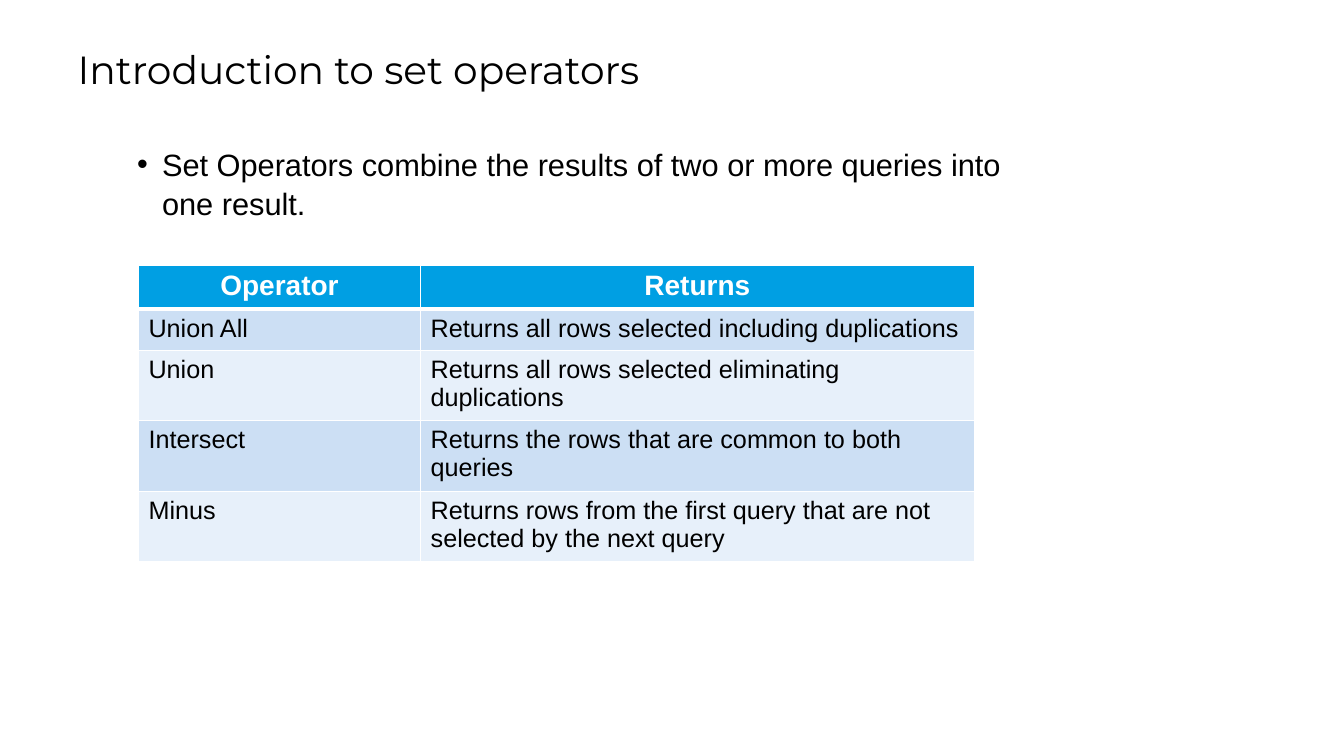
from pptx import Presentation
from pptx.dml.color import RGBColor
from pptx.enum.text import MSO_ANCHOR as Anchor, MSO_AUTO_SIZE as Auto, PP_ALIGN as Align
from pptx.oxml import parse_xml
from pptx.oxml.ns import nsdecls
from pptx.util import Cm, Pt


def color(text):
    return RGBColor.from_string(text)


def apply(item, values):
    for name, value in values.items():
        setattr(item, name, value)


class Deck:
    black, white, blue = "000000", "FFFFFF", "009FE3"
    bands = "CCDFF4", "E7F0FA"

    def __init__(self, wide, high):
        self.show = Presentation()
        apply(self.show, {"slide_width": Cm(wide), "slide_height": Cm(high)})
        self.slide = self.show.slides.add_slide(self.show.slide_layouts[1])

    def label(self, frame, text, size, tint=black, face="Arial", bold=False, **form):
        frame.text = text
        para = frame.paragraphs[0]
        apply(para, {"alignment": Align.LEFT, "space_before": Pt(0), **form})
        font = para.runs[0].font
        apply(font, {"size": Pt(size), "name": face, "bold": bold})
        font.color.rgb = color(tint)
        return para

    def place(self, shape, box, anchor):
        names = "left", "top", "width", "height"
        apply(shape, dict(zip(names, map(Cm, box))))
        apply(shape.text_frame, {"word_wrap": True, "auto_size": Auto.SHAPE_TO_FIT_TEXT,
                                 "vertical_anchor": anchor})
        return shape.text_frame

    def title(self, text, box):
        frame = self.place(self.slide.shapes.title, box, Anchor.MIDDLE)
        self.label(frame, text, 28, face="Montserrat")

    def bullet(self, text, box):
        frame = self.place(self.slide.placeholders[1], box, Anchor.TOP)
        para = self.label(frame, text, 22, space_after=Pt(6), line_spacing=1.05)
        props = para._p.get_or_add_pPr()
        props.set("marL", str(Cm(0.63)))
        props.set("indent", str(Cm(-0.63)))

    def border(self, cell, widths):
        props = cell._tc.get_or_add_tcPr()
        for side, width in zip("LRTB", widths):
            props.append(parse_xml(
                f'<a:ln{side} {nsdecls("a")} w="{Pt(width)}"><a:solidFill>'
                f'<a:srgbClr val="{self.white}"/></a:solidFill></a:ln{side}>'))

    def table(self, data, box, cols, high):
        grid = self.slide.shapes.add_table(len(data), len(cols), *map(Cm, box)).table
        for col, wide in zip(grid.columns, cols):
            col.width = Cm(wide)
        for r, texts in enumerate(data):
            grid.rows[r].height = Cm(high)
            for c, text in enumerate(texts):
                cell = grid.cell(r, c)
                self.border(cell, (1, 1, 3 if r == 1 else 1, 1 if r else 3))
                cell.fill.solid()
                cell.fill.fore_color.rgb = color(self.bands[(r - 1) % 2] if r else self.blue)
                if r:
                    self.label(cell.text_frame, text, 18)
                else:
                    self.label(cell.text_frame, text, 20, self.white, bold=True,
                               alignment=Align.CENTER)


deck = Deck(33.87, 19.05)
deck.bullet("Set Operators combine the results of two or more queries into one result.",
            (3.2, 3.5, 23.4, 2.13))
deck.table([
    ("Operator", "Returns"),
    ("Union All", "Returns all rows selected including duplications"),
    ("Union", "Returns all rows selected eliminating duplications"),
    ("Intersect", "Returns the rows that are common to both queries"),
    ("Minus", "Returns rows from the first query that are not selected by the next query"),
], (3.49, 6.69, 21.06, 5.15), (7.11, 13.95), 1.03)
deck.title("Introduction to set operators", (1.7, 1, 30.53, 1.45))
deck.show.save("out.pptx")
